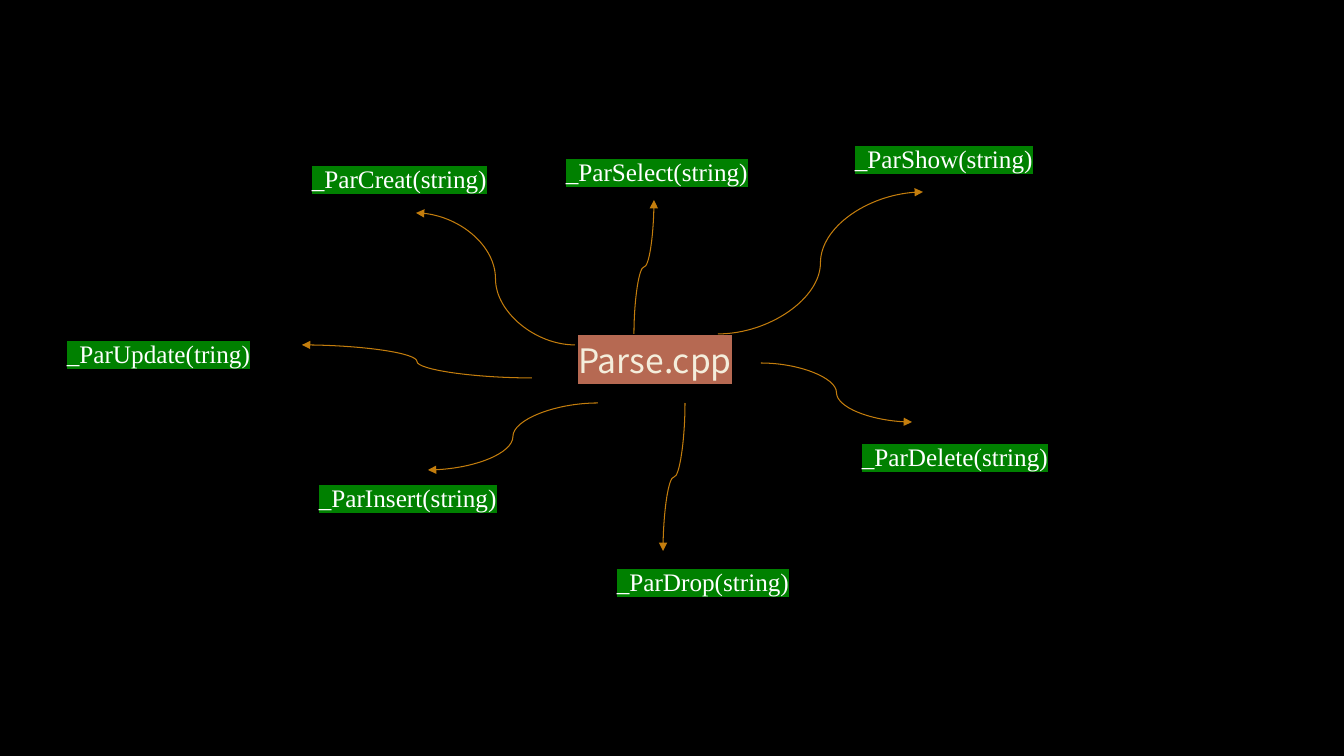
from lxml import etree
from pptx import Presentation
from pptx.dml.color import RGBColor
from pptx.enum.shapes import MSO_CONNECTOR
from pptx.enum.text import MSO_ANCHOR, MSO_AUTO_SIZE, PP_ALIGN
from pptx.oxml.ns import qn
from pptx.util import Pt

CURVE = MSO_CONNECTOR.CURVE
MIDDLE = MSO_ANCHOR.MIDDLE
CENTER = PP_ALIGN.CENTER
NO_AUTOFIT = MSO_AUTO_SIZE.NONE
FIT_SHAPE = MSO_AUTO_SIZE.SHAPE_TO_FIT_TEXT

BLACK = RGBColor(0x00, 0x00, 0x00)
WHITE = RGBColor(0xFF, 0xFF, 0xFF)
CREAM = RGBColor(0xF4, 0xEE, 0xDC)
CLAY = RGBColor(0xB6, 0x69, 0x52)
GREEN = RGBColor(0x00, 0x80, 0x00)
AMBER = RGBColor(0xC3, 0x7D, 0x0D)

EMU_PER_PX = 914400 / 100.8
LABEL_WIDTH, LABEL_HEIGHT = 214, 40

FUNCTIONS = [
    ("_ParCreat(string)", (302, 158), (575, 345), (416, 213)),
    ("_ParShow(string)", (845, 138), (718, 334), (923, 192)),
    ("_ParDrop(string)", (607, 561), (685, 403), (663, 551)),
    ("_ParSelect(string)", (556, 151), (634, 334), (654, 200)),
    ("_ParDelete(string)", (852, 436), (761, 363), (912, 422)),
    ("_ParInsert(string)", (309, 477), (598, 403), (428, 470)),
    ("_ParUpdate(tring)", (57, 333), (532, 378), (302, 345)),
]


def px(length):
    return round(length * EMU_PER_PX)


def apply(target, values):
    for name, value in values.items():
        setattr(target, name, value)


class MindMap:
    """Draws a central title, its function labels and curved arrows."""

    title_font = {"name": "Noto Sans CJK SC", "size": Pt(24), "bold": False}
    label_font = {"name": "Times New Roman", "size": Pt(18)}

    def __init__(self, presentation):
        self.slide = presentation.slides.add_slide(presentation.slide_layouts[5])
        fill = self.slide.background.fill
        fill.solid()
        fill.fore_color.rgb = BLACK

    def highlighted_text(self, paragraph, text, font, color, highlight):
        run = paragraph.add_run()
        run.text = text
        apply(run.font, font)
        run.font.color.rgb = color
        solid_fill = run.font._element.find(qn("a:solidFill"))
        marker = etree.Element(qn("a:highlight"))
        etree.SubElement(marker, qn("a:srgbClr"), val=str(highlight))
        solid_fill.addnext(marker)

    def title(self, text, left, top, width, height):
        shape = self.slide.shapes.title
        apply(shape, {"left": px(left), "top": px(top),
                      "width": px(width), "height": px(height)})
        apply(shape.text_frame, {"vertical_anchor": MIDDLE, "word_wrap": True,
                                 "auto_size": NO_AUTOFIT})
        paragraph = shape.text_frame.paragraphs[0]
        apply(paragraph, {"alignment": CENTER, "line_spacing": 0.9})
        self.highlighted_text(paragraph, text, self.title_font, CREAM, CLAY)

    def label(self, text, left, top):
        shape = self.slide.shapes.add_textbox(
            px(left), px(top), px(LABEL_WIDTH), px(LABEL_HEIGHT))
        apply(shape.text_frame, {"word_wrap": True, "auto_size": FIT_SHAPE})
        self.highlighted_text(shape.text_frame.paragraphs[0], text,
                              self.label_font, WHITE, GREEN)

    def arrow(self, start, end):
        center_x, center_y = ((a + b) / 2 for a, b in zip(start, end))
        half_x, half_y = ((b - a) / 2 for a, b in zip(start, end))
        upright = abs(half_y) > abs(half_x)
        if upright:
            half_x, half_y = half_y, -half_x
        connector = self.slide.shapes.add_connector(
            CURVE, px(center_x - half_x), px(center_y - half_y),
            px(center_x + half_x), px(center_y + half_y))
        if upright:
            connector.rotation = 90
        connector.line.color.rgb = AMBER
        connector.line.width = Pt(0.75)
        properties = connector._element.spPr
        etree.SubElement(properties.find(qn("a:ln")), qn("a:tailEnd"), type="triangle")
        etree.SubElement(properties, qn("a:effectLst"))


def main():
    presentation = Presentation()
    apply(presentation, {"slide_width": px(1344), "slide_height": px(756)})
    mind_map = MindMap(presentation)
    mind_map.title("Parse.cpp", 516, 319, 278, 88)
    for text, position, start, end in FUNCTIONS:
        mind_map.label(text, *position)
        mind_map.arrow(start, end)
    presentation.save("out.pptx")


if __name__ == "__main__":
    main()
